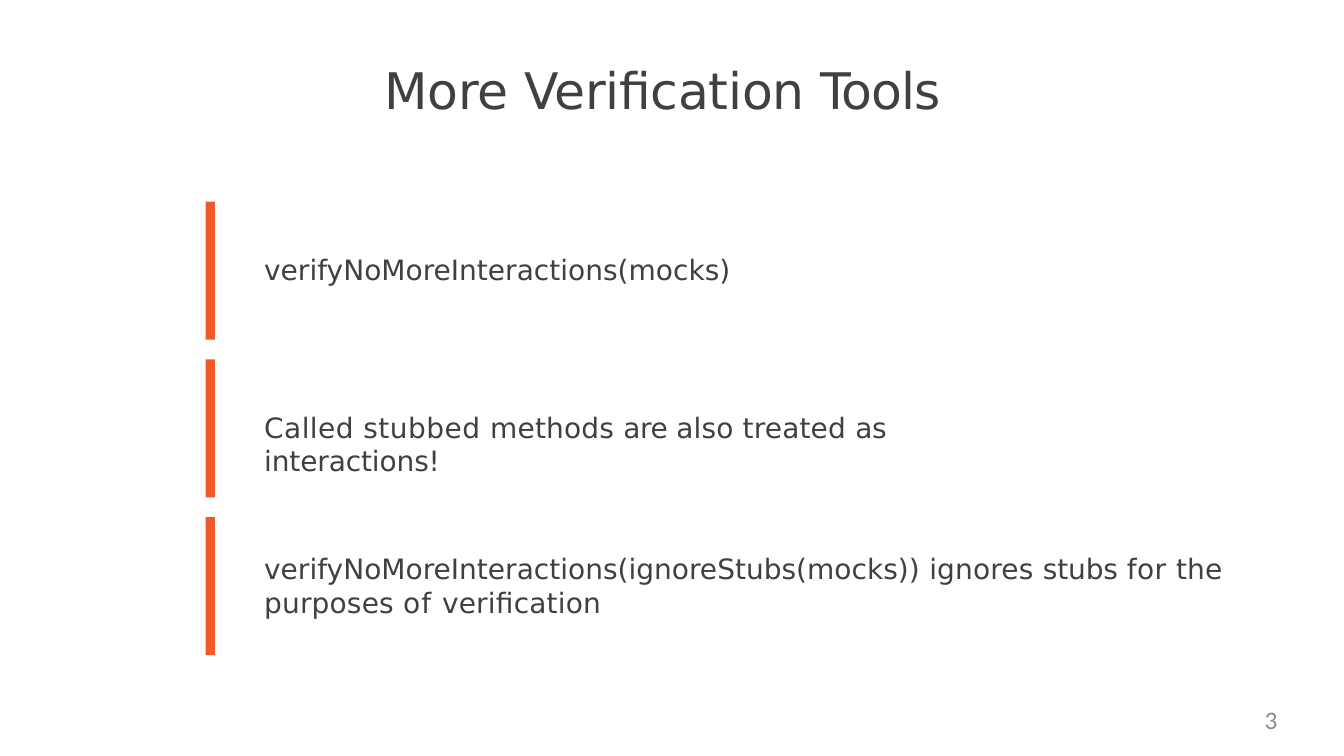
from pptx import Presentation
from pptx.dml.color import RGBColor
from pptx.enum.shapes import MSO_SHAPE
from pptx.enum.text import MSO_ANCHOR, MSO_AUTO_SIZE, PP_ALIGN
from pptx.util import Pt

PX = 9144
RECTANGLE = MSO_SHAPE.RECTANGLE
TOP = MSO_ANCHOR.TOP
GROW = MSO_AUTO_SIZE.SHAPE_TO_FIT_TEXT
LEFT, RIGHT = PP_ALIGN.LEFT, PP_ALIGN.RIGHT
COLORS = {"background": "FFFFFF", "bar": "F05A28", "text": "404040", "number": "8C8C8C"}
TEXT_FONT, NUMBER_FONT = "DejaVu Sans", "Calibri"
BAR_WIDTH, BAR_HEIGHT, TEXT_INDENT = 9, 137, 58

TITLE = [("More ", -10), ("Verification ", -20), ("Tools", -70)]
POINTS = [
    (472, 36, [("verifyNoMoreInteractions(mocks)", 0)]),
    (792, 36, [("Called stubbed ", 30), ("methods ", 10), ("are ", -30),
               ("also treated ", 10), ("as ", -30), ("interactions!", -10)]),
    (961, 69, [("verifyNoMoreInteractions(ignoreStubs(mocks)) ", 0), ("ignores ", 10),
               ("stubs ", -10), ("for ", 30), ("the purposes ", 10), ("of ", 70),
               ("verification", 10)]),
]


def color(name):
    """Return the named colour."""
    return RGBColor.from_string(COLORS[name])


def place(shape, box):
    """Move a shape to a box of left, top, width and height in px."""
    shape.left, shape.top, shape.width, shape.height = (round(side * PX) for side in box)


def write(shape, spans, size, font=TEXT_FONT, ink="text", align=LEFT):
    """Fill a shape with one paragraph of (text, letter spacing) spans."""
    frame = shape.text_frame
    frame.word_wrap = True
    frame.auto_size = GROW
    frame.vertical_anchor = TOP
    frame.margin_left = frame.margin_right = frame.margin_bottom = 0
    frame.margin_top = 2 * PX
    para = frame.paragraphs[0]
    para.alignment = align
    for text, spacing in spans:
        span = para.add_run()
        span.text = text
        span.font.name = font
        span.font.size = Pt(size)
        span.font.color.rgb = color(ink)
        if spacing:
            span.font._element.set("spc", str(spacing))


def add_text(page, box, spans, size, **style):
    """Add a text box with styled spans."""
    shape = page.shapes.add_textbox(0, 0, 0, 0)
    place(shape, box)
    write(shape, spans, size, **style)


def add_title(page, box):
    """Place and fill the title placeholder."""
    place(page.shapes.title, box)
    write(page.shapes.title, TITLE, 36)


def add_points(page, box):
    """Spread the barred points evenly down the box."""
    left, top, _, height = box
    pitch = (height - BAR_HEIGHT) / (len(POINTS) - 1)
    for index, (text_width, text_height, spans) in enumerate(POINTS):
        bar_top = top + index * pitch
        bar = page.shapes.add_shape(RECTANGLE, 0, 0, 0, 0)
        place(bar, (left, bar_top, BAR_WIDTH, BAR_HEIGHT))
        bar.shadow.inherit = False
        bar.fill.solid()
        bar.fill.fore_color.rgb = color("bar")
        bar.line.fill.background()
        text_top = bar_top + (BAR_HEIGHT - text_height) / 2 - 2
        add_text(page, (left + TEXT_INDENT, text_top, text_width, text_height), spans, 20)


def add_page_number(page, box):
    """Add the page number, aligned right in the box."""
    add_text(page, box, [("3", 0)], 18, font=NUMBER_FONT, ink="number", align=RIGHT)


def main():
    """Build and save the deck."""
    deck = Presentation()
    deck.slide_width, deck.slide_height = 1333 * PX, 750 * PX
    page = deck.slides.add_slide(deck.slide_layouts[5])
    page.background.fill.solid()
    page.background.fill.fore_color.rgb = color("background")
    add_title(page, (381, 57, 561, 63))
    add_points(page, (204, 200, 1019, 450))
    add_page_number(page, (960, 697, 307, 38))
    deck.save("out.pptx")


if __name__ == "__main__":
    main()
